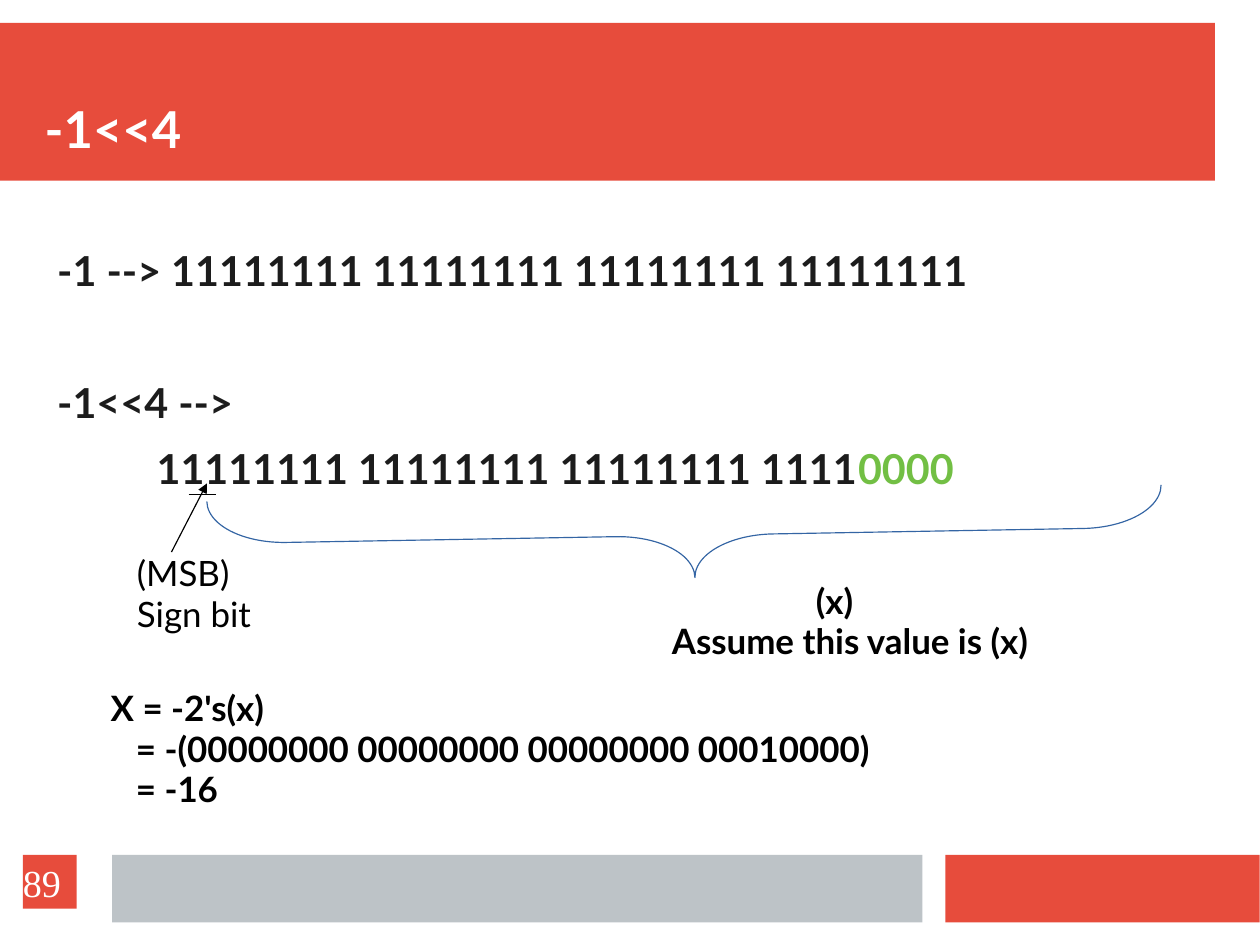
from lxml import etree
from pptx import Presentation
from pptx import util as u
from pptx.dml.color import RGBColor
from pptx.enum import shapes, text
from pptx.oxml import ns

RED = "E74C3C"
GREY = "BDC3C7"
WHITE = "FFFFFF"
BLACK = "000000"
DARK = "1C1C1C"
GREEN = "72BF44"
BLUE = "3465A4"


def color(value):
    return RGBColor.from_string(value)


def place(item, box):
    item.left, item.top, item.width, item.height = map(u.Inches, box)


def add_span(para, words, size, shade, bold=False, name="Lato"):
    span = para.add_run()
    span.text = words
    span.font.name = name
    span.font.size = u.Pt(size)
    span.font.bold = bold
    span.font.color.rgb = color(shade)


def prepare_frame(frame, insets, anchor=text.MSO_ANCHOR.TOP):
    frame.word_wrap = True
    frame.auto_size = text.MSO_AUTO_SIZE.NONE
    frame.vertical_anchor = anchor
    frame.margin_left, frame.margin_top, frame.margin_right, frame.margin_bottom = map(u.Inches, insets)


def next_para(frame, number, indent=0):
    para = frame.add_paragraph() if number else frame.paragraphs[0]
    para.alignment = text.PP_ALIGN.LEFT
    para.line_spacing = 0.97
    para.space_before = u.Pt(0)
    properties = para._p.get_or_add_pPr()
    properties.set("marL", str(u.Inches(indent)))
    properties.set("indent", "0")
    etree.SubElement(properties, ns.qn("a:buNone"))
    return para


def add_block(page, box, fill):
    block = page.shapes.add_shape(shapes.MSO_SHAPE.RECTANGLE, *map(u.Inches, box))
    block.shadow.inherit = False
    block.fill.solid()
    block.fill.fore_color.rgb = color(fill)
    block.line.fill.background()
    return block


def add_header(page, box, words):
    left, top, width, height = box
    add_block(page, box, RED)
    title = page.shapes.title
    title.element.getparent().append(title.element)
    place(title, (left + 0.39, top + 0.23, width - 0.52, height - 0.41))
    prepare_frame(title.text_frame, (0, 0, 0, 0), text.MSO_ANCHOR.BOTTOM)
    add_span(next_para(title.text_frame, 0), words, 32, WHITE, True)


def add_bits(page, box):
    lines = [
        (0.11, 0, [("-1 --> 11111111 11111111 11111111 11111111", DARK)]),
        (0.11, 41.5, [("-1<<4 -->", DARK)]),
        (0.98, 0, [("11111111 11111111 11111111 1111", DARK), ("0000", GREEN)]),
    ]
    body = page.placeholders[1]
    place(body, box)
    prepare_frame(body.text_frame, (0, 0.01, 0, 0))
    for number, (indent, before, spans) in enumerate(lines):
        para = next_para(body.text_frame, number, indent)
        para.space_before = u.Pt(before)
        para.space_after = u.Pt(11.5)
        for words, shade in spans:
            add_span(para, words, 26, shade, True)


def add_label(page, box, lines, bold):
    label = page.shapes.add_textbox(*map(u.Inches, box))
    prepare_frame(label.text_frame, (0.1, 0.05, 0.1, 0.05))
    for number, (indent, words) in enumerate(lines):
        add_span(next_para(label.text_frame, number, indent), words, 22, BLACK, bold)


def add_line(page, start, end, arrow=False):
    line = page.shapes.add_connector(
        shapes.MSO_CONNECTOR.STRAIGHT, *map(u.Inches, start + end))
    line.line.color.rgb = color(BLACK)
    line.line.width = u.Pt(0.75)
    if arrow:
        etree.SubElement(line.line._get_or_add_ln(), ns.qn("a:tailEnd"), type="triangle")
    etree.SubElement(line.element.spPr, ns.qn("a:effectLst"))


def add_brace(page, box):
    brace = page.shapes.add_shape(shapes.MSO_SHAPE.RIGHT_BRACE, *map(u.Inches, box))
    brace.shadow.inherit = False
    brace.rotation = 89
    brace.adjustments[0] = 0.93
    brace.adjustments[1] = 0.49
    brace.fill.background()
    brace.line.color.rgb = color(BLUE)
    brace.line.width = u.Pt(0.75)


def add_notes_on_bits(page, box):
    left, top, width, height = box
    add_line(page, (left + 0.78, top), (left + 1.02, top))
    add_line(page, (left + 0.63, top + 0.5), (left + 0.94, top - 0.1), True)
    add_label(page, (left + 0.23, top + 0.47, 1.36, 0.82), [(0, "(MSB)"), (0, "Sign bit")], False)
    add_brace(page, (left + 4.75, top - 3.82, 0.74, 8.35))
    add_label(page, (left + 4.91, top + 0.71, 3.6, 0.82),
              [(1.26, "(x)"), (0, "Assume this value is (x)")], True)
    add_label(page, (left, top + 1.65, width, height - 1.65), [
        (0, "X = -2's(x)"),
        (0.22, "= -(00000000 00000000 00000000 00010000)"),
        (0.22, "= -16"),
    ], True)


def add_footer(page, box, number):
    left, top, width, height = box
    add_block(page, (left + 8.07, top, width - 8.07, height), RED)
    add_block(page, (left + 0.78, top, 7.09, height), GREY)
    badge = add_block(page, (left, top, 0.47, 0.47), RED)
    prepare_frame(badge.text_frame, (0, 0, 0, 0), text.MSO_ANCHOR.MIDDLE)
    para = badge.text_frame.paragraphs[0]
    para.alignment = text.PP_ALIGN.LEFT
    add_span(para, number, 24, WHITE, name="Times New Roman")


def main():
    deck = Presentation()
    deck.slide_width = u.Inches(28 / 2.54)
    deck.slide_height = u.Inches(21 / 2.54)
    page = deck.slides.add_slide(deck.slide_layouts[1])
    add_header(page, (0, 0.2, 10.63, 1.38), "-1<<4")
    add_bits(page, (0.39, 2.16, 10.02, 5.1))
    add_notes_on_bits(page, (0.87, 4.33, 8.38, 2.83))
    add_footer(page, (0.2, 7.48, 10.82, 0.59), "89")
    deck.save("out.pptx")


if __name__ == "__main__":
    main()
